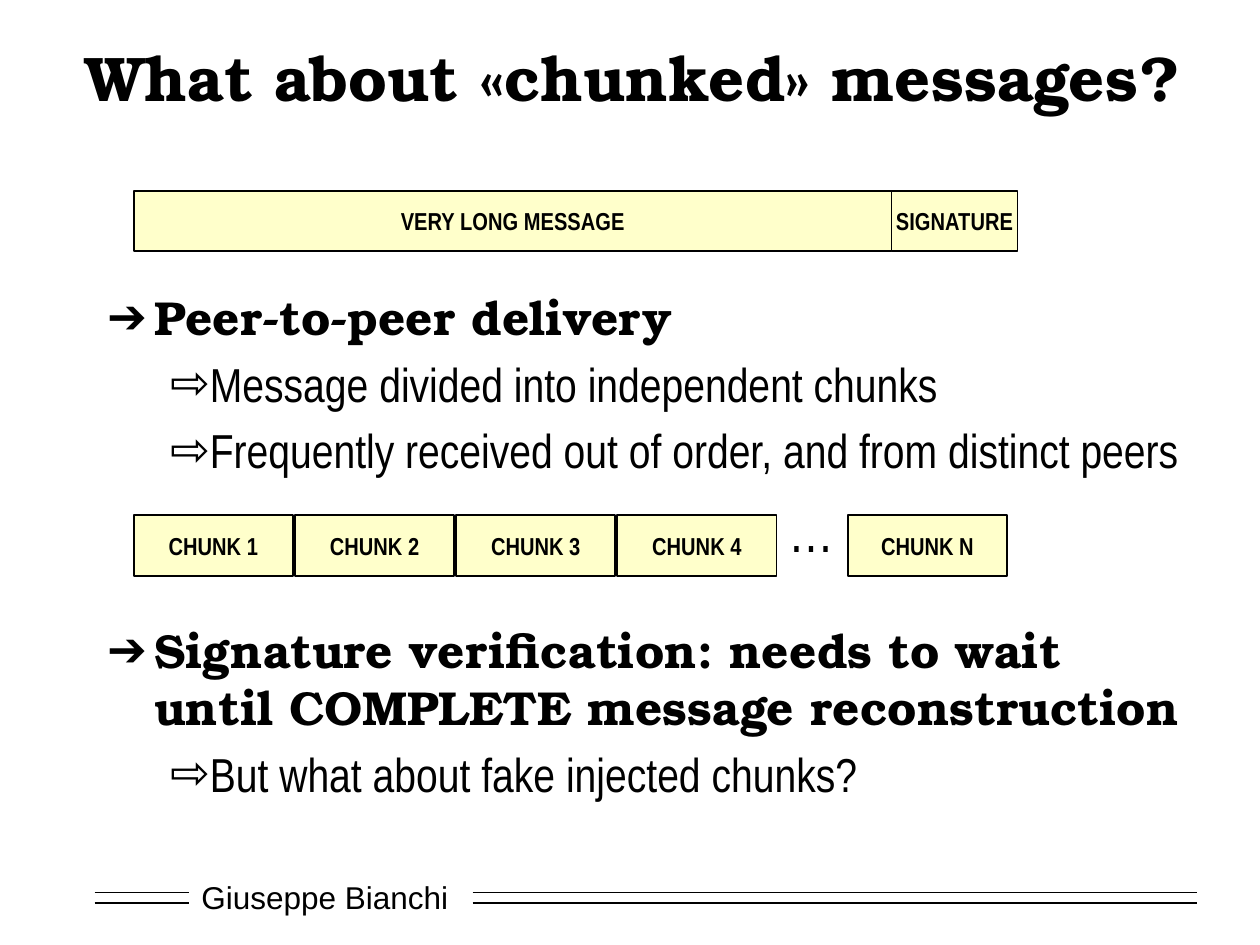
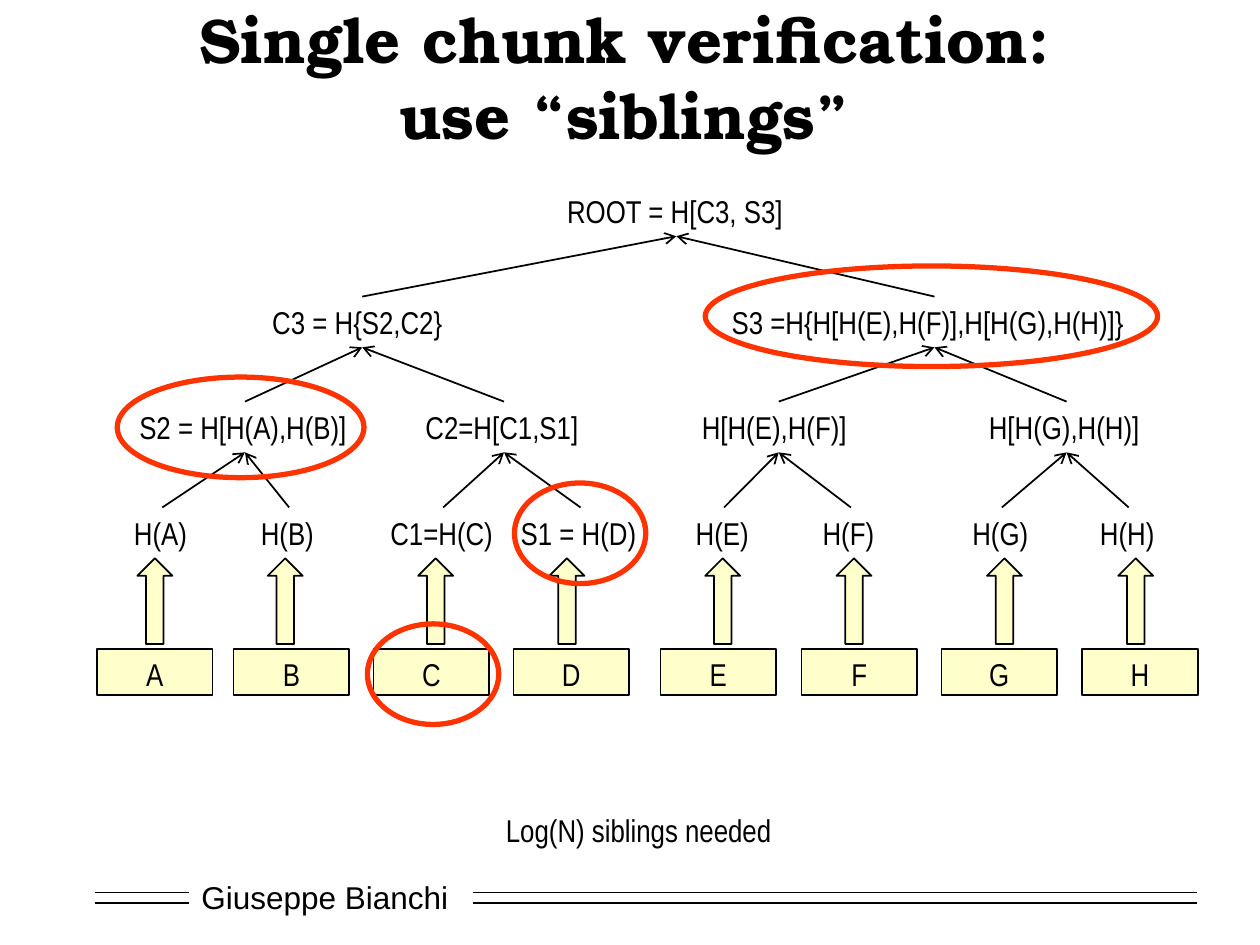
import lxml.etree
import pptx
import pptx.dml.color
import pptx.enum.shapes
import pptx.enum.text
import pptx.oxml.ns
import pptx.util

Pt = pptx.util.Pt
SHAPE = pptx.enum.shapes.MSO_SHAPE
ALIGN = pptx.enum.text.PP_ALIGN
ANCHOR = pptx.enum.text.MSO_ANCHOR
FIT = pptx.enum.text.MSO_AUTO_SIZE

BLACK, WHITE, YELLOW, RED = "000000", "FFFFFF", "FFFF99", "FF3300"
SERIF, NARROW = "TeX Gyre Bonum", "Arial Narrow"

TITLE = {"name": SERIF, "size": Pt(36), "bold": True}
HEADING = {"name": SERIF, "size": Pt(27.2), "bold": True}
DETAIL = {"name": NARROW, "size": Pt(27.2), "bold": False}
CHUNK = {"name": NARROW, "size": Pt(14), "bold": True}
LABEL = {"name": NARROW, "size": Pt(18)}
DOTS = {"name": NARROW, "size": Pt(32)}
FOOTER = {"name": "Arial", "size": Pt(18)}
LEVELS = [
    {"bullet": "➔", "left": 27, "hanging": 27, "font": HEADING},
    {"bullet": "⇨", "left": 58.5, "hanging": 22.5, "font": DETAIL},
]


def colour(target, code):
    """Give a colour format, or a fill made solid, a hex colour."""
    if hasattr(target, "solid"):
        target.solid()
        target = target.fore_color
    target.rgb = pptx.dml.color.RGBColor.from_string(code)


def apply(target, values):
    """Set each named attribute of the target."""
    for name, value in values.items():
        setattr(target, name, value)


def add_element(parent, tag, **attributes):
    """Append a drawing element to the parent and return it."""
    return lxml.etree.SubElement(parent, pptx.oxml.ns.qn(tag), attributes)


def place(shape, left, top, width, height):
    """Move and size a shape, in points."""
    apply(shape, {"left": Pt(left), "top": Pt(top),
                  "width": Pt(width), "height": Pt(height)})


def write(para, words, font):
    """Write words into a paragraph in black with the given font."""
    para.text = words
    for span in para.runs:
        apply(span.font, font)
        colour(span.font.color, BLACK)


def add_label(page, words, left, top, width, height, font=LABEL):
    """Add an unwrapped line of text."""
    box = page.shapes.add_textbox(Pt(left), Pt(top), Pt(width), Pt(height))
    apply(box.text_frame, {"word_wrap": False, "auto_size": FIT.SHAPE_TO_FIT_TEXT})
    write(box.text_frame.paragraphs[0], words, font)


def add_outline(page, kind, left, top, width, height, line=BLACK, weight=1):
    """Add an unfilled preset shape with an outline."""
    shape = page.shapes.add_shape(kind, Pt(left), Pt(top), Pt(width), Pt(height))
    shape.shadow.inherit = False
    shape.fill.background()
    colour(shape.line.fill, line)
    shape.line.width = Pt(weight)
    return shape


def add_block(page, kind, left, top, width, height, words="", font=LABEL,
              anchor=ANCHOR.TOP):
    """Add a half-transparent yellow shape with optional centred words."""
    shape = add_outline(page, kind, left, top, width, height)
    colour(shape.fill, YELLOW)
    tint = shape.fill._xPr.find(".//" + pptx.oxml.ns.qn("a:srgbClr"))
    add_element(tint, "a:alpha", val="50000")
    if words:
        apply(shape.text_frame, {"word_wrap": False, "vertical_anchor": anchor})
        para = shape.text_frame.paragraphs[0]
        para.alignment = ALIGN.CENTER
        write(para, words, font)


def add_line(page, start, end, arrow=False):
    """Add a thin black line, with an arrowhead at its end if asked."""
    line = page.shapes.add_connector(
        pptx.enum.shapes.MSO_CONNECTOR.STRAIGHT,
        *[Pt(value) for value in (*start, *end)])
    colour(line.line.fill, BLACK)
    line.line.width = Pt(1)
    if arrow:
        add_element(line.line._get_or_add_ln(), "a:tailEnd", type="arrow")
    add_element(line._element.spPr, "a:effectLst")


def add_footer(page, left, top):
    """Draw the author's name between pairs of rules."""
    box = page.shapes.add_textbox(Pt(left + 54), Pt(top), Pt(156), Pt(29))
    colour(box.fill, WHITE)
    apply(box.text_frame, {"word_wrap": True, "vertical_anchor": ANCHOR.MIDDLE,
                           "auto_size": FIT.SHAPE_TO_FIT_TEXT})
    write(box.text_frame.paragraphs[0], "Giuseppe Bianchi", FOOTER)
    for height in (top + 12, top + 18):
        for start, end in ((0, 54), (216, 630)):
            add_line(page, (left + start, height), (left + end, height))


def add_page(deck, layout, title, left, width):
    """Add a slide with its title and footer."""
    page = deck.slides.add_slide(deck.slide_layouts[layout])
    add_footer(page, 54, 498)
    heading = page.shapes.title
    place(heading, left, 18, width, 51)
    apply(heading.text_frame, {"vertical_anchor": ANCHOR.MIDDLE, "word_wrap": True,
                               "auto_size": FIT.NONE})
    para = heading.text_frame.paragraphs[0]
    para.alignment = ALIGN.CENTER
    write(para, title, TITLE)
    return page


def fill_body(body, items):
    """Write (level, gap before, words) items as a bulleted list."""
    place(body, 54, 161, 632, 319)
    frame = body.text_frame
    apply(frame, {"auto_size": FIT.NONE, "vertical_anchor": ANCHOR.TOP})
    for index, (level, gap, words) in enumerate(items):
        para = frame.add_paragraph() if index else frame.paragraphs[0]
        rule = LEVELS[level]
        props = para._p.get_or_add_pPr()
        props.set("marL", str(Pt(rule["left"])))
        props.set("indent", str(-Pt(rule["hanging"])))
        tint = add_element(props, "a:buClr")
        add_element(tint, "a:srgbClr", val=BLACK)
        add_element(props, "a:buChar", char=rule["bullet"])
        apply(para, {"level": level, "space_before": Pt(gap), "space_after": Pt(0)})
        write(para, words, rule["font"])


def add_message(page, left, top):
    """Draw the long message followed by its signature."""
    for words, start, width in (("VERY LONG MESSAGE", 0, 433), ("SIGNATURE", 433, 72)):
        add_block(page, SHAPE.RECTANGLE, left + start, top, width, 34.5,
                  words, CHUNK, ANCHOR.MIDDLE)


def add_chunks(page, left, top):
    """Draw the row of chunks with an ellipsis before the last."""
    step, width = 92.1, 91
    starts = [step * index for index in range(4)] + [408]
    for name, start in zip("1234N", starts):
        add_block(page, SHAPE.RECTANGLE, left + start, top, width, 34.5,
                  f"CHUNK {name}", CHUNK, ANCHOR.MIDDLE)
    add_label(page, "…", left + 367, top - 14.5, 41, 46, DOTS)


def add_tree(page, left, top):
    """Draw the hash tree, its data blocks and the ringed siblings."""
    columns = zip("ABCDEFGH",
                  (0.5, 78.5, 158.5, 238.5, 322.5, 403, 483, 563.5),
                  (23.5, 98, 184, 259, 348, 423, 509, 584))
    for name, block, arrow in columns:
        add_block(page, SHAPE.RECTANGLE, left + block, top + 265, 66, 26, name)
        add_block(page, SHAPE.UP_ARROW, left + arrow, top + 213, 20, 49)

    levels = [
        (0, [("ROOT = H[C3, S3]", 262, 139)]),
        (63.5, [("C3 = H{S2,C2}", 93.5, 117),
                ("S3 =H{H[H(E),H(F)],H[H(G),H(H)]}", 356, 246)]),
        (123.5, [("S2 = H[H(A),H(B)]", 17.5, 135), ("C2=H[C1,S1]", 181, 104),
                 ("H[H(E),H(F)]", 339, 102), ("H[H(G),H(H)]", 503, 103)]),
        (184, [("H(A)", 14.5, 46.5), ("H(B)", 87, 46.5),
               ("C1=H(C)", 161, 74.5), ("S1 = H(D)", 235.5, 82.5),
               ("H(E)", 335.5, 46.5), ("H(F)", 408, 46.5),
               ("H(G)", 493.5, 48), ("H(H)", 566.5, 47)]),
    ]
    parents = []
    for offset, nodes in levels:
        centres = []
        for index, (words, start, width) in enumerate(nodes):
            add_label(page, words, left + start, top + offset, width, 29)
            centre = left + start + width / 2
            if parents:
                add_line(page, (centre, top + offset), parents[index // 2], True)
            centres.append((centre, top + offset + 29))
        parents = centres

    for start, offset, width in ((155, 250.5, 75), (239, 170, 75),
                                 (12, 109.5, 141), (348, 46, 258.5)):
        add_outline(page, SHAPE.OVAL, left + start, top + offset, width, 57.5, RED, 3)


def build_chunked(deck):
    """Build the slide on chunked messages."""
    page = add_page(deck, 1, "What about «chunked» messages?", 20, 683)
    fill_body(page.placeholders[1], [
        (0, 0, "Peer-to-peer delivery"),
        (1, 5.4, "Message divided into independent chunks"),
        (1, 5.4, "Frequently received out of order, and from distinct peers"),
        (0, 81.5, "Signature verification: needs to wait until COMPLETE "
                  "message reconstruction"),
        (1, 5.4, "But what about fake injected chunks?"),
    ])
    add_message(page, 76.5, 109)
    add_chunks(page, 76.5, 294.5)


def build_siblings(deck):
    """Build the slide on verifying a single chunk."""
    page = add_page(deck, 5, "Single chunk verification:\vuse “siblings”", 54, 606)
    add_tree(page, 55, 106)
    add_label(page, "Log(N) siblings needed", 282, 460, 173, 29)


def main():
    """Build and save the deck."""
    deck = pptx.Presentation()
    apply(deck, {"slide_width": Pt(720), "slide_height": Pt(540)})
    build_chunked(deck)
    build_siblings(deck)
    deck.save("out.pptx")


if __name__ == "__main__":
    main()
